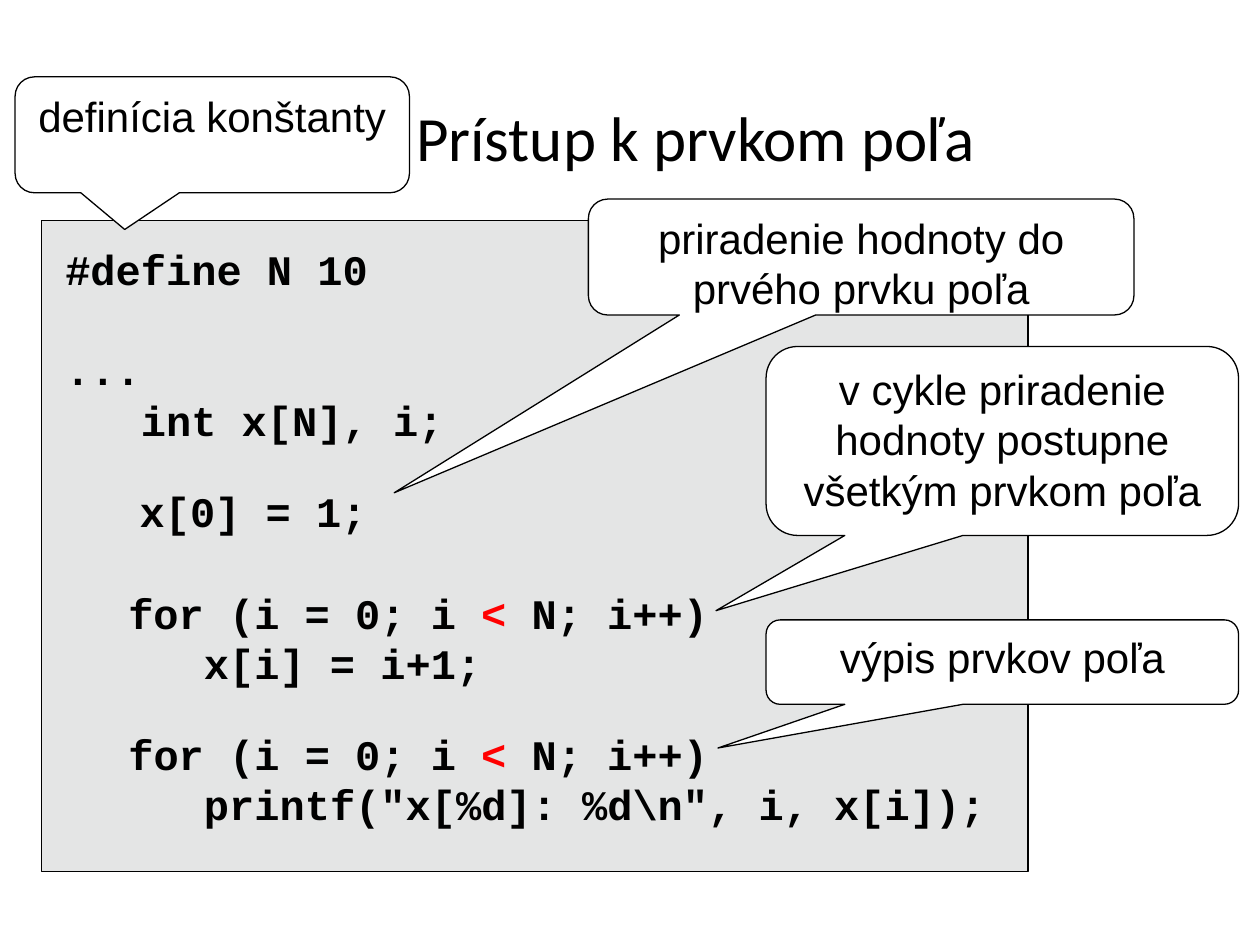
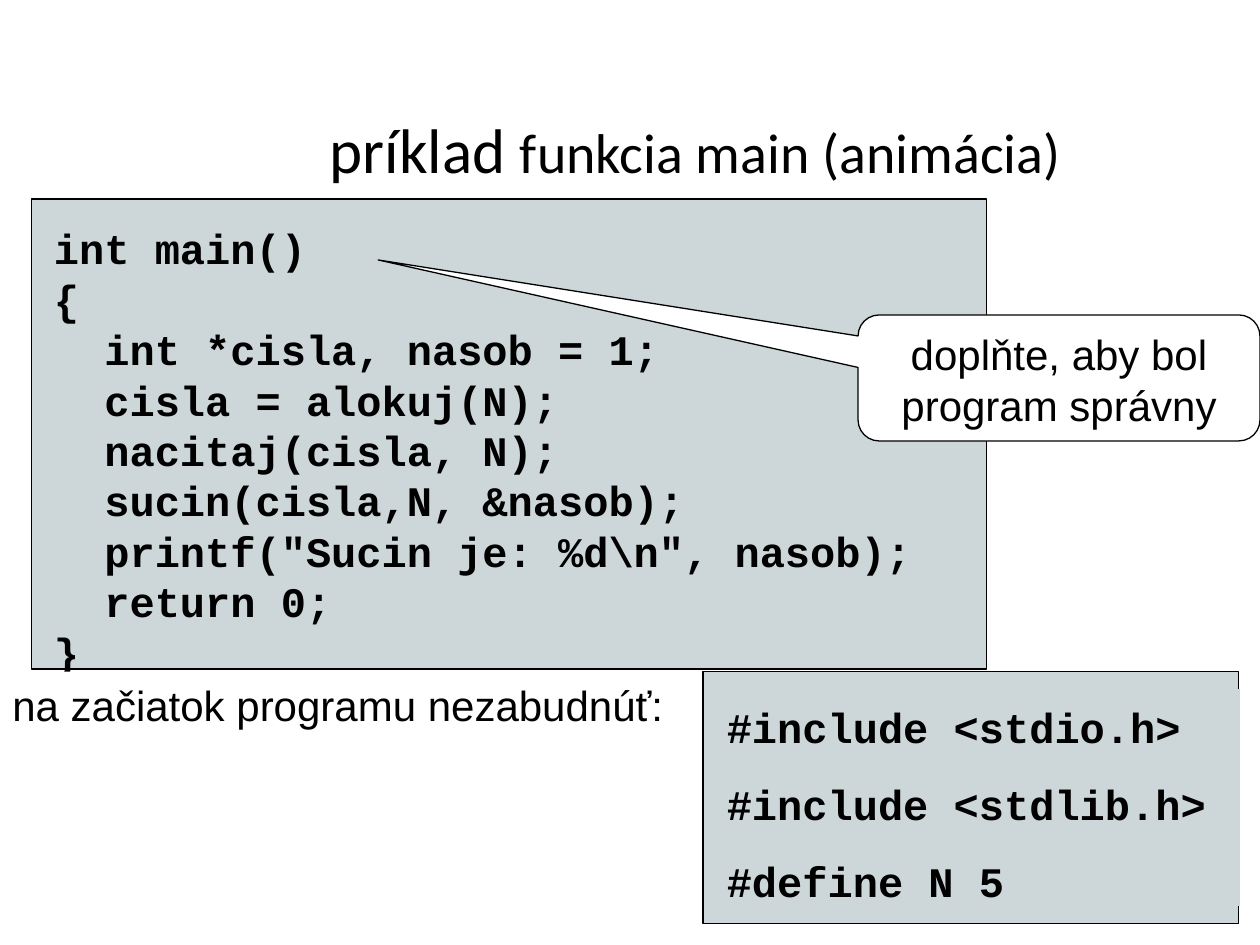
"""Builds two slides on C arrays: code panels with callouts that explain them."""
from dataclasses import dataclass

import pptx
import pptx.dml.color
import pptx.enum.shapes
import pptx.enum.text
import pptx.util

Inches = pptx.util.Inches
Pt = pptx.util.Pt
Color = pptx.dml.color.RGBColor
Shape = pptx.enum.shapes.MSO_SHAPE
Align = pptx.enum.text.PP_ALIGN
Anchor = pptx.enum.text.MSO_ANCHOR


@dataclass(frozen=True)
class Theme:
    ink: Color = Color(0, 0, 0)
    paper: Color = Color(255, 255, 255)
    accent: Color = Color(255, 0, 0)
    light_panel: Color = Color(0xE4, 0xE5, 0xE5)
    blue_panel: Color = Color(0xCD, 0xD7, 0xD9)
    title_font: str = "Calibri"
    body_font: str = "Arial"
    code_font: str = "Courier New"
    title_size: float = 36
    subtitle_size: float = 32
    body_size: float = 24
    line_height: float = 28.8
    outline: float = 0.75
    corner: float = 0.167
    side_inset: float = 0.1
    code_inset: float = 0.1
    body_inset: float = 0.06


class Lesson:
    def __init__(self, theme):
        self.theme = theme
        self.deck = pptx.Presentation()
        self.deck.slide_width = Inches(10)
        self.deck.slide_height = Inches(7.5)
        self.page = None

    def new_page(self):
        self.page = self.deck.slides.add_slide(self.deck.slide_layouts[6])

    def place(self, bounds):
        return [Inches(length) for length in bounds]

    def style(self, span, font, size, color=None, bold=False):
        span.font.name = font
        span.font.size = Pt(size)
        span.font.bold = bold
        span.font.color.rgb = color or self.theme.ink

    def prepare(self, frame, top_inset):
        frame.word_wrap = True
        frame.vertical_anchor = Anchor.TOP
        frame.margin_left = frame.margin_right = Inches(self.theme.side_inset)
        frame.margin_top = Inches(top_inset)
        frame.margin_bottom = Inches(0.05)

    def title(self, bounds, text, subtitle=""):
        frame = self.page.shapes.add_textbox(*self.place(bounds)).text_frame
        frame.word_wrap = True
        frame.vertical_anchor = Anchor.MIDDLE
        para = frame.paragraphs[0]
        para.alignment = Align.CENTER
        sizes = self.theme.title_size, self.theme.subtitle_size
        for part, size in zip((text, subtitle), sizes):
            if part:
                span = para.add_run()
                span.text = part
                self.style(span, self.theme.title_font, size)

    def shape(self, kind, bounds, fill):
        box = self.page.shapes.add_shape(kind, *self.place(bounds))
        box.shadow.inherit = False
        box.fill.solid()
        box.fill.fore_color.rgb = fill
        box.line.color.rgb = self.theme.ink
        box.line.width = Pt(self.theme.outline)
        return box

    def panel(self, bounds, fill):
        self.shape(Shape.RECTANGLE, bounds, fill)

    def body(self, frame, text, alignment):
        self.prepare(frame, self.theme.body_inset)
        frame.text = text
        para = frame.paragraphs[0]
        para.alignment = alignment
        para.line_spacing = Pt(self.theme.line_height)
        self.style(para.runs[0], self.theme.body_font, self.theme.body_size)

    def callout(self, bounds, tip, text):
        box = self.shape(Shape.ROUNDED_RECTANGULAR_CALLOUT, bounds, self.theme.paper)
        for index, value in enumerate((*tip, self.theme.corner)):
            box.adjustments[index] = value
        self.body(box.text_frame, text, Align.CENTER)

    def note(self, bounds, text):
        box = self.page.shapes.add_textbox(*self.place(bounds))
        box.fill.solid()
        box.fill.fore_color.rgb = self.theme.paper
        self.body(box.text_frame, text, Align.LEFT)

    def code(self, bounds, lines, fill=None, gaps=None, highlight=None):
        box = self.page.shapes.add_textbox(*self.place(bounds))
        if fill:
            box.fill.solid()
            box.fill.fore_color.rgb = fill
        frame = box.text_frame
        self.prepare(frame, self.theme.code_inset)
        for index, line in enumerate(lines):
            para = frame.add_paragraph() if index else frame.paragraphs[0]
            para.line_spacing = Pt(self.theme.line_height)
            if gaps and index in gaps:
                para.space_before = Pt(gaps[index])
            parts = line.partition(highlight) if highlight else (line,)
            for part in filter(None, parts):
                span = para.add_run()
                span.text = part
                color = self.theme.accent if part == highlight else None
                self.style(span, self.theme.code_font, self.theme.body_size, color, True)


def array_access(lesson):
    theme = lesson.theme
    lesson.new_page()
    lesson.title((1.26, 0.67, 8.52, 0.82), "Prístup k prvkom poľa")
    lesson.panel((0.33, 1.75, 7.83, 5.17), theme.light_panel)
    lesson.code((0.42, 1.83, 5.67, 1.7), ["#define N 10", "...", "   int x[N], i;"],
                gaps={1: theme.line_height})
    lesson.code((1.01, 3.75, 2.33, 0.5), ["x[0] = 1;"])
    lesson.callout((4.67, 1.58, 4.33, 0.92), (-0.856, 2.034),
                   "priradenie hodnoty do prvého prvku poľa")
    loops = [
        (4.56, 5.67, "   x[i] = i+1;", (6.08, 2.75, 3.75, 1.5), (-0.606, 0.898),
         "v cykle priradenie hodnoty postupne všetkým prvkom poľa"),
        (5.68, 7.25, '   printf("x[%d]: %d\\n", i, x[i]);', (6.08, 4.92, 3.75, 0.67),
         (-0.602, 1.018), "výpis prvkov poľa"),
    ]
    for top, width, statement, bounds, tip, text in loops:
        lesson.code((0.92, top, width, 0.9), ["for (i = 0; i < N; i++)", statement],
                    highlight="<")
        lesson.callout(bounds, tip, text)
    lesson.callout((0.12, 0.61, 3.13, 0.92), (-0.222, 0.817), "definícia konštanty")


def main_function(lesson):
    fill = lesson.theme.blue_panel
    lesson.new_page()
    lesson.title((1.26, 0.68, 8.52, 0.99), "príklad ", "funkcia main (animácia)")
    lesson.panel((0.25, 1.58, 7.58, 3.73), fill)
    lesson.code((0.33, 1.67, 7.67, 3.7), [
        "int main()",
        "{",
        "  int *cisla, nasob = 1;",
        "  cisla = alokuj(N);",
        "  nacitaj(cisla, N);",
        "  sucin(cisla,N, &nasob);",
        '  printf("Sucin je: %d\\n", nasob);',
        "  return 0;",
        "}",
    ])
    lesson.panel((5.58, 5.33, 4.25, 2), fill)
    lesson.note((0, 5.33, 5.53, 0.5), "na začiatok programu nezabudnúť:")
    lesson.code((5.67, 5.47, 4.17, 1.72),
                ["#include <stdio.h>", "#include <stdlib.h>", "#define N 5"],
                fill=fill, gaps={1: 15, 2: 15})
    lesson.callout((6.81, 2.5, 3.19, 1), (-1.694, -0.937),
                   "doplňte, aby bol program správny")


def main():
    lesson = Lesson(Theme())
    array_access(lesson)
    main_function(lesson)
    lesson.deck.save("out.pptx")


if __name__ == "__main__":
    main()
